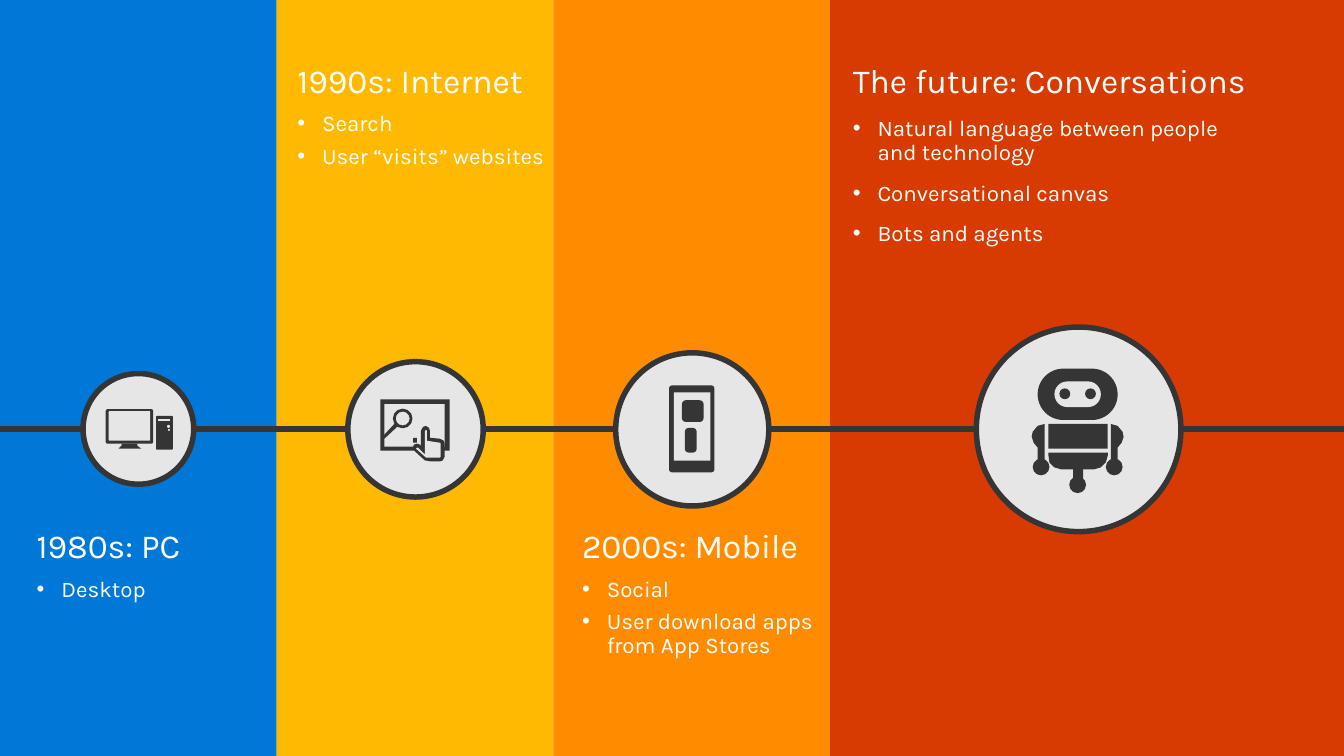
"""Build the slide on four eras of computing, from the PC to conversations."""
from copy import deepcopy
from dataclasses import dataclass
from typing import Any, Union

from lxml import etree
from pptx import Presentation, util as u
from pptx.dml import color
from pptx.enum import shapes, text
from pptx.oxml import ns
from pptx.shapes import autoshape, shapetree

PX = 9144
WIDTH, HEIGHT = 1360, 765
AXIS_Y = 434
ROBOT_MIRROR = 2181
STROKE = u.Pt(4)
COLORS = {
    "blue": "0078D7", "yellow": "FFB900", "orange": "FF8C00", "red": "D83B01",
    "dark": "353535", "light": "E6E6E6", "white": "FFFFFF",
}
RECT = shapes.MSO_SHAPE.RECTANGLE
ROUND = shapes.MSO_SHAPE.ROUNDED_RECTANGLE
OVAL = shapes.MSO_SHAPE.OVAL
Point = tuple[int, int]
Box = tuple[int, int, int, int]


@dataclass(frozen=True)
class Part:
    preset: Any
    box: Box
    fill: str = "dark"
    radius: int = 0
    stroke: int = 0


@dataclass(frozen=True)
class Outline:
    points: tuple[Point, ...]
    fill: str = "dark"


@dataclass(frozen=True)
class Era:
    band: tuple[int, int]
    fill: str
    heading: str
    bullets: tuple[str, ...]
    box: Box
    insets: Box
    disc: tuple[int, int]
    icon: tuple[Union[Part, Outline], ...]
    heading_after: float = 8.6
    before: float = 0
    after: float = 6


COMPUTER = (
    Part(ROUND, (158, 421, 17, 34), radius=1),
    Part(RECT, (160, 424, 12, 2), "light"),
    Part(OVAL, (169, 430, 3, 3), "light"),
    Part(OVAL, (170, 434, 2, 2), "light"),
    Part(ROUND, (107, 414, 48, 35), radius=2),
    Part(ROUND, (110, 416, 42, 30), "light", radius=1),
    Outline(((123, 449), (139, 449), (139, 451), (143, 454), (120, 454), (123, 451))),
)
BROWSER = (
    Part(RECT, (385, 404, 70, 52)),
    Part(RECT, (389, 409, 61, 43), "light"),
    Part(OVAL, (399, 415, 17, 17), "light", stroke=u.Pt(2)),
    Outline(((400, 428), (387, 442), (389, 444), (403, 431))),
    Part(RECT, (418, 443, 4, 5)),
    Outline(((426, 452), (426, 436), (428, 432), (431, 431), (434, 433), (435, 436),
             (435, 443), (445, 444), (449, 446), (450, 449), (450, 462), (448, 466),
             (445, 467), (436, 467), (430, 466), (419, 456), (418, 452), (419, 450),
             (422, 449), (425, 450))),
    Outline(((446, 456), (446, 449), (445, 448), (432, 446), (432, 436), (431, 435),
             (430, 436), (430, 460), (423, 453), (422, 453), (421, 454), (431, 463),
             (445, 463), (446, 462)), "light"),
)
PHONE = (
    Part(ROUND, (677, 390, 46, 88), radius=3),
    Part(RECT, (682, 397, 37, 69), "light"),
    Part(ROUND, (690, 405, 22, 22), radius=4),
    Part(ROUND, (693, 433, 12, 25), radius=4),
)
ARM = ((1057, 429), (1050, 431), (1045, 437), (1044, 442), (1046, 448), (1050, 453),
       (1050, 466), (1057, 466))
ROBOT = (
    Part(ROUND, (1050, 373, 81, 52), radius=26),
    Part(ROUND, (1067, 386, 47, 26), "light", radius=13),
    *(Part(OVAL, (x, 393, 11, 11)) for x in (1072, 1098)),
    Part(RECT, (1061, 429, 60, 25)),
    Outline(((1061, 458), (1121, 458), (1121, 461), (1119, 468), (1114, 473), (1107, 475),
             (1074, 475), (1067, 473), (1062, 468), (1061, 461))),
    Part(RECT, (1086, 474, 10, 11)),
    Part(OVAL, (1082, 482, 17, 17)),
    Outline(ARM),
    Outline(tuple((ROBOT_MIRROR - x, y) for x, y in ARM)),
    *(Part(OVAL, (x, 464, 17, 17)) for x in (1045, ROBOT_MIRROR - 1045 - 17)),
)
ERAS = (
    Era((0, 280), "blue", "1980s: PC", ("Desktop",),
        (25, 536, 255, 160), (12, 0, 0, 0), (140, 112), COMPUTER),
    Era((280, 280), "yellow", "1990s: Internet", ("Search", "User “visits” websites"),
        (280, 55, 276, 326), (21, 10, 0, 0), (420, 137), BROWSER),
    Era((560, 280), "orange", "2000s: Mobile",
        ("Social", "User download apps from App Stores"),
        (560, 536, 280, 180), (29, 0, 0, 0), (700, 155), PHONE),
    Era((840, 520), "red", "The future: Conversations",
        ("Natural language between people\vand technology", "Conversational canvas",
         "Bots and agents"),
        (843, 55, 477, 213), (20, 10, 20, 16), (1091, 207), ROBOT,
        heading_after=0, before=12, after=0),
)


def px(*lengths: int) -> list[u.Emu]:
    return [u.Emu(length * PX) for length in lengths]


def rgb(name: str) -> color.RGBColor:
    return color.RGBColor.from_string(COLORS[name])


def apply(target: Any, formats: dict[str, Any]) -> None:
    for attribute, value in formats.items():
        setattr(target, attribute, value)


def paint(shape: autoshape.Shape, fill: str, stroke: int = 0) -> None:
    shape.shadow.inherit = False
    shape.fill.solid()
    shape.fill.fore_color.rgb = rgb(fill)
    if stroke:
        shape.line.color.rgb = rgb("dark")
        shape.line.width = stroke
    else:
        shape.line.fill.background()


def draw(canvas: shapetree.SlideShapes, item: Union[Part, Outline]) -> None:
    if isinstance(item, Outline):
        builder = canvas.build_freeform(*item.points[0], scale=PX)
        builder.add_line_segments(item.points[1:], close=True)
        paint(builder.convert_to_shape(), item.fill)
        return
    shape = canvas.add_shape(item.preset, *px(*item.box))
    if item.radius:
        shape.adjustments[0] = item.radius / min(item.box[2:])
    paint(shape, item.fill, item.stroke)


def write(canvas: shapetree.SlideShapes, era: Era) -> None:
    frame = canvas.add_textbox(*px(*era.box)).text_frame
    sides = ("margin_left", "margin_top", "margin_right", "margin_bottom")
    apply(frame, {"word_wrap": True, "vertical_anchor": text.MSO_ANCHOR.TOP,
                  **dict(zip(sides, px(*era.insets)))})
    for index, wording in enumerate((era.heading, *era.bullets)):
        paragraph = frame.add_paragraph() if index else frame.paragraphs[0]
        paragraph.text = wording
        if index:
            properties = paragraph._p.get_or_add_pPr()
            properties.set("marL", str(25 * PX))
            properties.set("indent", str(-25 * PX))
            etree.SubElement(properties, ns.qn("a:buFont")).set("typeface", "Arial")
            etree.SubElement(properties, ns.qn("a:buChar")).set("char", "•")
        spacing = {"line_spacing": 0.9,
                   "space_after": u.Pt(era.after if index else era.heading_after)}
        if index:
            spacing["space_before"] = u.Pt(era.before)
        apply(paragraph, spacing)
        for run in paragraph.runs:
            apply(run.font, {"name": "Karla", "size": u.Pt(16.3 if index else 24.5)})
            run.font.color.rgb = rgb("white")
        for line_break in paragraph._p.findall(ns.qn("a:br")):
            line_break.append(deepcopy(paragraph.runs[0]._r.rPr))


def main() -> None:
    deck = Presentation()
    apply(deck, dict(zip(("slide_width", "slide_height"), px(WIDTH, HEIGHT))))
    slide = deck.slides.add_slide(deck.slide_layouts[6])
    slide.background.fill.solid()
    slide.background.fill.fore_color.rgb = rgb("light")
    canvas = slide.shapes
    for era in ERAS:
        left, width = era.band
        draw(canvas, Part(RECT, (left, 0, width, HEIGHT), era.fill))
        write(canvas, era)
    timeline = canvas.add_connector(
        shapes.MSO_CONNECTOR.STRAIGHT, *px(0, AXIS_Y, WIDTH, AXIS_Y))
    timeline.line.color.rgb = rgb("dark")
    timeline.line.width = STROKE
    etree.SubElement(timeline._element.spPr, ns.qn("a:effectLst"))
    for era in ERAS:
        center, size = era.disc
        disc = (center - size // 2, AXIS_Y - size // 2, size, size)
        for item in (Part(OVAL, disc, "light", stroke=STROKE), *era.icon):
            draw(canvas, item)
    deck.save("out.pptx")


if __name__ == "__main__":
    main()
